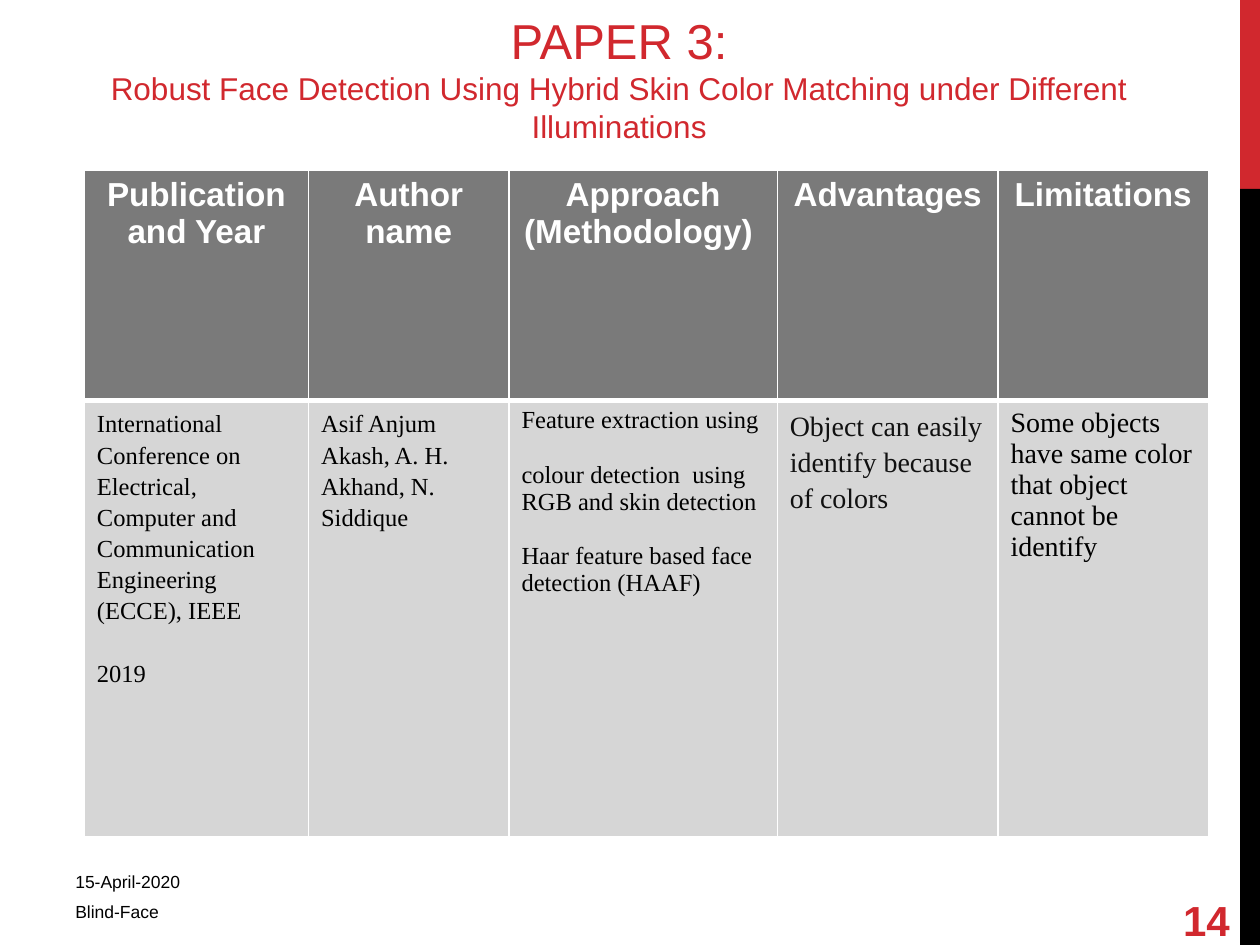
"""Build the slide that reviews paper 3 in a table."""
from lxml.etree import SubElement
from pptx import Presentation
from pptx.dml.color import RGBColor
from pptx.enum.shapes import MSO_SHAPE
from pptx.enum.text import MSO_ANCHOR, MSO_AUTO_SIZE, PP_ALIGN
from pptx.oxml import parse_xml
from pptx.oxml.ns import nsdecls
from pptx.util import Cm, Pt

RED, BLACK, WHITE = "D1282E", "000000", "FFFFFF"


def paint(target, shade):
    """Give a fill or a font a solid colour."""
    if hasattr(target, "solid"):
        target.solid()
        target.fore_color.rgb = RGBColor.from_string(shade)
    else:
        target.color.rgb = RGBColor.from_string(shade)


def style(para, size, shade, face="Arial", bold=False):
    """Format every run of a paragraph."""
    for run in para.runs:
        run.font.size, run.font.name, run.font.bold = Pt(size), face, bold
        paint(run.font, shade)


deck = Presentation()
deck.slide_width, deck.slide_height = Cm(25.4), Cm(19.05)
slide = deck.slides.add_slide(deck.slide_layouts[5])
shapes = slide.shapes

for top, height, shade in [(0, 3.81, RED), (3.81, 15.24, BLACK)]:
    bar = shapes.add_shape(MSO_SHAPE.RECTANGLE, Cm(25), Cm(top), Cm(0.4), Cm(height))
    bar.shadow.inherit = False
    paint(bar.fill, shade)
    bar.line.fill.background()

title = shapes.title
title.left, title.top, title.width, title.height = Cm(0.2), Cm(0.56), Cm(24.56), Cm(2.49)
frame = title.text_frame
frame.text = (
    "PAPER 3:\n"
    "Robust Face Detection Using Hybrid Skin Color Matching under Different Illuminations"
)
frame.auto_size = MSO_AUTO_SIZE.NONE
frame.vertical_anchor = MSO_ANCHOR.BOTTOM
for para, size in zip(frame.paragraphs, (28, 18)):
    para.alignment = PP_ALIGN.CENTER
    style(para, size, RED)

columns = [
    (4.52, "Publication and Year",
     "International Conference on Electrical, Computer and Communication "
     "Engineering (ECCE), IEEE\n2019", 14, BLACK, 1.15, (0, 18)),
    (4.04, "Author name",
     "Asif Anjum Akash, A. H. Akhand, N. Siddique", 14, BLACK, 1.15, (0,)),
    (5.41, "Approach (Methodology) ",
     "Feature extraction using\ncolour detection  using RGB and skin detection\n"
     "Haar feature based face detection (HAAF)", 14, BLACK, 1, (0, 15.5, 15.5)),
    (4.45, "Advantages",
     "Object can easily identify because of colors", 16, "111111", 1.15, (0,)),
    (4.24, "Limitations",
     "Some objects have same color that object cannot be identify", 16, BLACK, 1, (0,)),
]
table = shapes.add_table(2, 5, Cm(1.7), Cm(3.43), Cm(22.66), Cm(13.44)).table
table.rows[0].height, table.rows[1].height = Cm(4.65), Cm(8.79)

for col, (width, head, body, size, shade, lead, gaps) in enumerate(columns):
    table.columns[col].width = Cm(width)
    top, low = table.cell(0, col), table.cell(1, col)
    top.text_frame.text, low.text_frame.text = head, body
    para = top.text_frame.paragraphs[0]
    para.alignment = PP_ALIGN.CENTER
    style(para, 19, WHITE, bold=True)
    for para, gap in zip(low.text_frame.paragraphs, gaps):
        para.line_spacing = lead
        para.space_before = Pt(gap)
        style(para, size, shade, "Times New Roman")
    for cell, back, under, over in [(top, "7A7A7A", 3, 1), (low, "D6D6D6", 1, 3)]:
        paint(cell.fill, back)
        props = cell._tc.get_or_add_tcPr()
        for spot, (side, thick) in enumerate(zip("LRTB", (1, 1, over, under))):
            line = parse_xml(f'<a:ln{side} {nsdecls("a")} w="{Pt(thick)}"/>')
            fill = SubElement(line, line.tag.replace(f"ln{side}", "solidFill"))
            SubElement(fill, fill.tag.replace("solidFill", "srgbClr"), val=WHITE)
            props.insert(spot, line)

notes = [
    ("15-April-2020", 1.27, 17.15, 9.53, 0.84, MSO_ANCHOR.BOTTOM, 10, BLACK, False),
    ("Blind-Face", 1.27, 18.03, 9.53, 0.79, MSO_ANCHOR.TOP, 10, BLACK, False),
    ("14", 23.6, 16.71, 1.48, 3.66, MSO_ANCHOR.MIDDLE, 24, RED, True),
]
for text, left, top, width, height, anchor, size, shade, bold in notes:
    box = shapes.add_textbox(Cm(left), Cm(top), Cm(width), Cm(height))
    frame = box.text_frame
    frame.word_wrap = True
    frame.vertical_anchor = anchor
    if anchor == MSO_ANCHOR.BOTTOM:
        frame.margin_bottom = 0
    frame.text = text
    style(frame.paragraphs[0], size, shade, bold=bold)

deck.save("out.pptx")
